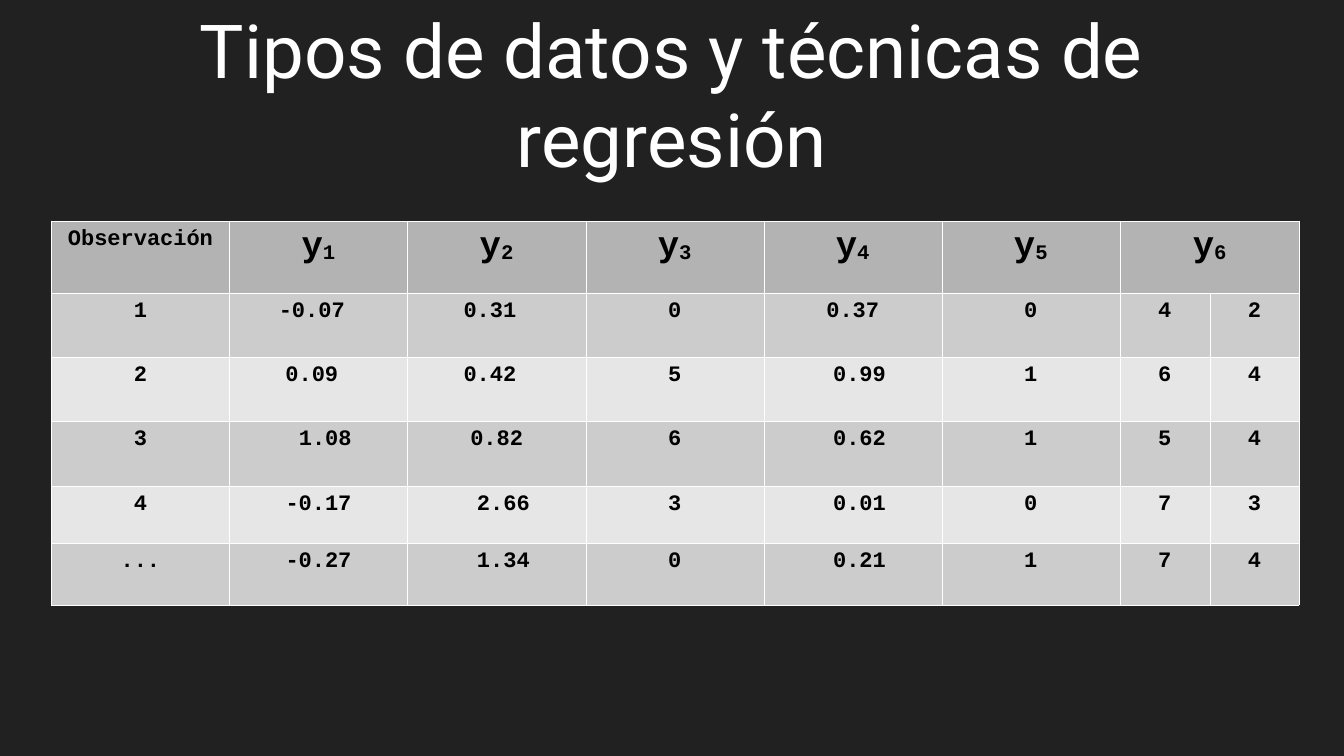
import dataclasses
import lxml.etree
import pptx
import pptx.dml.color
import pptx.enum.text
import pptx.oxml.ns
import pptx.slide
import pptx.table
import pptx.text.text
import pptx.util

RGBColor = pptx.dml.color.RGBColor
Cm = pptx.util.Cm
Pt = pptx.util.Pt

DARK = RGBColor(0x21, 0x21, 0x21)
WHITE = RGBColor(0xFF, 0xFF, 0xFF)
BLACK = RGBColor(0x00, 0x00, 0x00)
HEAD = RGBColor(0xB3, 0xB3, 0xB3)
BANDS = (RGBColor(0xCC, 0xCC, 0xCC), RGBColor(0xE6, 0xE6, 0xE6))
MONO = "Courier New"
WIDTHS = [3.71] * 6 + [1.87] * 2
HEIGHTS = [1.5, 1.34, 1.34, 1.34, 1.2, 1.29]


@dataclasses.dataclass(frozen=True)
class Run:
    text: str
    size: float = 13
    face: str = MONO
    color: RGBColor = BLACK
    bold: bool = True
    drop: int = 0


@dataclasses.dataclass(frozen=True)
class Entry:
    runs: tuple[Run, ...]
    lean: int = 0


def item(text: str, lean: int = 0) -> Entry:
    return Entry((Run(text),), lean)


def label(index: int) -> Entry:
    return Entry((Run("y", 21), Run(str(index), 21, drop=-8)))


TITLE = Run("Tipos de datos y técnicas de regresión", 44, "Roboto", WHITE, False)
TOP = [item("Observación")] + [label(index) for index in range(1, 7)]
ROWS = [
    [item("1"), item("-0.07", -1), item("0.31", -1), item("0"),
     item("0.37"), item("0"), item("4"), item("2")],
    [item("2"), item("0.09", -1), item("0.42", -1), item("5"),
     item("0.99", 1), item("1"), item("6"), item("4")],
    [item("3"), item("1.08", 1), item("0.82"), item("6"),
     item("0.62", 1), item("1"), item("5"), item("4")],
    [item("4"), item("-0.17"), item("2.66", 1), item("3"),
     item("0.01", 1), item("0"), item("7"), item("3")],
    [item("..."), item("-0.27"), item("1.34", 1), item("0"),
     item("0.21", 1), item("1"), item("7"), item("4")],
]


def write(frame: pptx.text.text.TextFrame, runs: tuple[Run, ...]) -> None:
    para = frame.paragraphs[0]
    para.alignment = pptx.enum.text.PP_ALIGN.CENTER
    for part in runs:
        run = para.add_run()
        run.text = part.text
        run.font.name = part.face
        run.font.size = Pt(part.size)
        run.font.bold = part.bold
        run.font.color.rgb = part.color
        if part.drop:
            run.font._element.set("baseline", str(part.drop * 1000))


def border(cell: pptx.table._Cell) -> None:
    props = cell._tc.get_or_add_tcPr()
    qn = pptx.oxml.ns.qn
    for side in ("lnL", "lnR", "lnT", "lnB"):
        line = lxml.etree.SubElement(props, qn(f"a:{side}"), w=str(Pt(0.06)))
        fill = lxml.etree.SubElement(line, qn("a:solidFill"))
        lxml.etree.SubElement(fill, qn("a:srgbClr"), val=str(WHITE))


def paint(cell: pptx.table._Cell, color: RGBColor) -> None:
    border(cell)
    cell.fill.solid()
    cell.fill.fore_color.rgb = color


def enter(cell: pptx.table._Cell, entry: Entry) -> None:
    cell.margin_left = Cm(0.25 + 0.28 * max(entry.lean, 0))
    cell.margin_right = Cm(0.25 + 0.28 * max(-entry.lean, 0))
    cell.margin_top = cell.margin_bottom = Cm(0.13)
    write(cell.text_frame, entry.runs)


def add_title(slide: pptx.slide.Slide) -> None:
    box = slide.shapes.add_textbox(Cm(1.4), Cm(-0.18), Cm(25.2), Cm(4.24))
    frame = box.text_frame
    frame.word_wrap = True
    frame.vertical_anchor = pptx.enum.text.MSO_ANCHOR.MIDDLE
    frame.margin_left = frame.margin_right = Cm(0)
    frame.margin_top = frame.margin_bottom = Cm(0)
    write(frame, (TITLE,))


def add_grid(slide: pptx.slide.Slide) -> None:
    grid = slide.shapes.add_table(
        len(HEIGHTS), len(WIDTHS), Cm(1.07), Cm(4.6),
        Cm(sum(WIDTHS)), Cm(sum(HEIGHTS))).table
    for column, width in zip(grid.columns, WIDTHS):
        column.width = Cm(width)
    for row, height in zip(grid.rows, HEIGHTS):
        row.height = Cm(height)
    grid.cell(0, 6).merge(grid.cell(0, 7))
    for index, entries in enumerate([TOP] + ROWS):
        color = BANDS[(index - 1) % 2] if index else HEAD
        for cell in grid.rows[index].cells:
            paint(cell, color)
        for cell, entry in zip(grid.rows[index].cells, entries):
            enter(cell, entry)


def main() -> None:
    deck = pptx.Presentation()
    deck.slide_width, deck.slide_height = Cm(28), Cm(15.75)
    slide = deck.slides.add_slide(deck.slide_layouts[6])
    slide.background.fill.solid()
    slide.background.fill.fore_color.rgb = DARK
    add_title(slide)
    add_grid(slide)
    deck.save("out.pptx")


if __name__ == "__main__":
    main()
